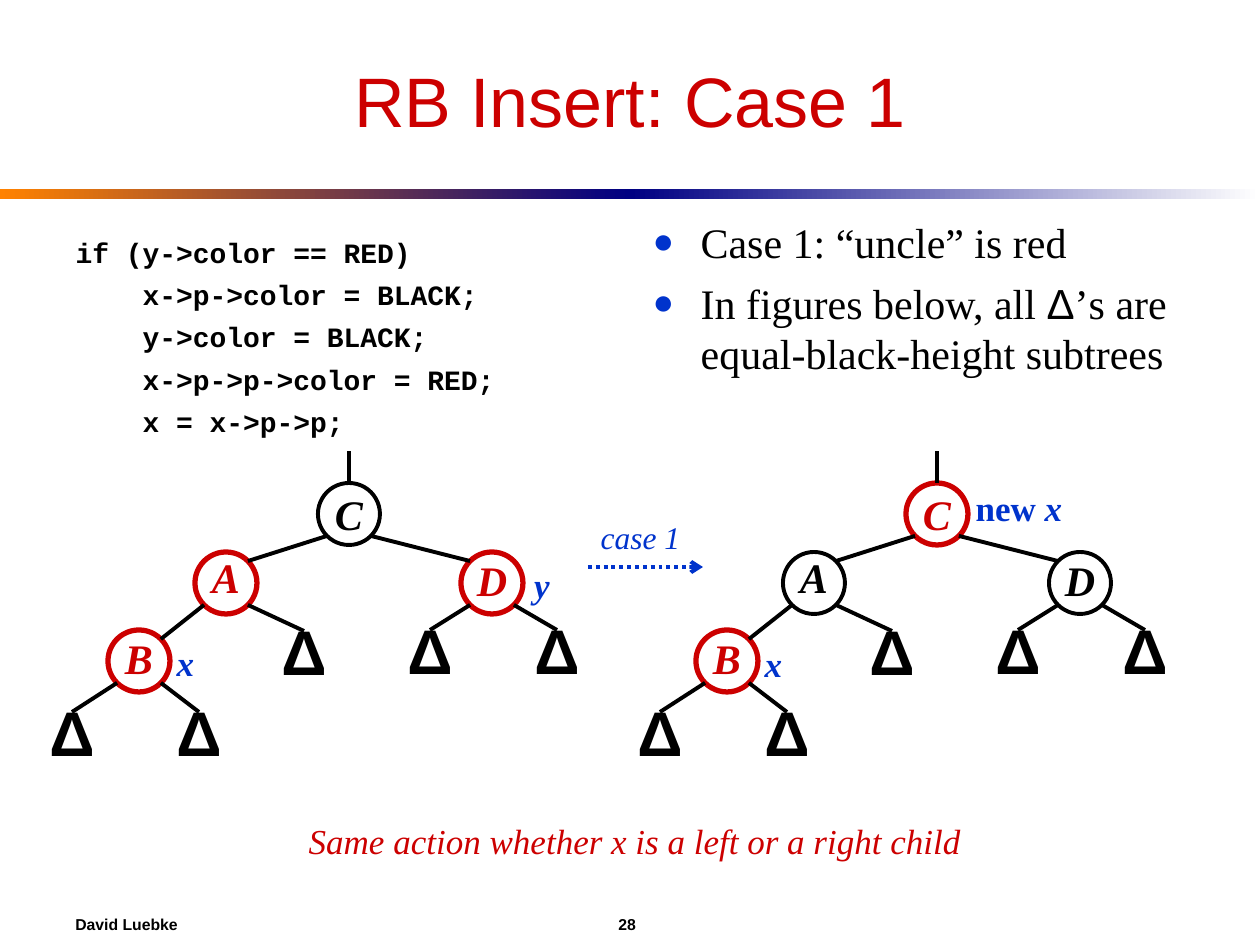
from lxml import etree
from pptx import Presentation, util as u
from pptx.dml.color import RGBColor
from pptx.enum import dml, shapes, text
from pptx.oxml.ns import qn

THEME = {
    "red": "CC0000", "black": "000000", "blue": "0033CC", "white": "FFFFFF",
    "orange": "FF8200", "navy": "000082",
    "sans": "Arial", "serif": "Times New Roman", "mono": "Courier New",
    "title": 40, "leaf": 36, "bullet": 24, "node": 24, "label": 20,
    "step": 18, "code": 16, "footer": 9,
}
TITLE = "RB Insert: Case 1"
CODE = [(0, "if (y->color == RED)"), (1, "x->p->color = BLACK;"),
        (1, "y->color = BLACK;"), (1, "x->p->p->color = RED;"), (1, "x = x->p->p;")]
BULLETS = [[("Case 1: “uncle” is red", "serif")],
           [("In figures below, all ", "serif"), ("Δ", "sans"),
            ("’s are equal-black-height subtrees", "serif")]]
NODES = {"C": (318, 483, 1.0), "A": (195, 552, 0.7),
         "D": (461, 552, 0.9), "B": (108, 630, 0.9)}
BRANCHES = [("C", "A", -1), ("C", "D", 1), ("A", "B", -1)]
LEAVES = [("B", -1, 41, 712), ("B", 1, 168, 712), ("A", 1, 273, 631),
          ("D", -1, 399, 630), ("D", 1, 526, 630)]
TREES = [
    {"left": 0, "red": "ADB",
     "labels": [([("x", True)], (164, 635, 43, 55)), ([("y", True)], (522, 557, 40, 55))]},
    {"left": 588, "red": "CB",
     "labels": [([("x", True)], (164, 636, 43, 55)),
                ([("new", False), (" x", True)], (375, 480, 112, 55))]},
]
BARS = [(0, "orange", "navy"), (630, "navy", "white")]
STEP = ("case 1", (588, 512, 105, 50))
REMARK = ("Same action whether x is a left or a right child", (296, 813, 678, 55))
FOOTER = ("David Luebke\t28", (63, 903, 1134, 42), 543)
DIAMETER, STEM = 62, 32


def px(n):
    return round(n * 914400 / 126)


def rgb(color):
    return RGBColor.from_string(THEME[color])


def apply(target, **values):
    for key, value in values.items():
        setattr(target, key, value)


def place(shape, box):
    apply(shape, **dict(zip(("left", "top", "width", "height"), map(px, box))))


def write(paragraph, words, size, face="serif", color="black", **style):
    run = paragraph.add_run()
    run.text = words
    apply(run.font, size=u.Pt(THEME[size]), name=THEME[face], **style)
    run.font.color.rgb = rgb(color)


def frame(shape, wrap=False, anchor=text.MSO_ANCHOR.MIDDLE):
    apply(shape.text_frame, word_wrap=wrap, vertical_anchor=anchor,
          auto_size=text.MSO_AUTO_SIZE.NONE)
    return shape.text_frame


def label(slide, runs, box, size="label", color="blue", bold=True, align="CENTER"):
    paragraph = frame(slide.shapes.add_textbox(*map(px, box))).paragraphs[0]
    paragraph.alignment = getattr(text.PP_ALIGN, align)
    for words, italic in runs:
        write(paragraph, words, size, color=color, bold=bold, italic=italic)


def line(slide, start, end, color="black"):
    link = slide.shapes.add_connector(
        shapes.MSO_CONNECTOR.STRAIGHT, *map(px, (*start, *end)))
    link.line.width = u.Pt(2.25)
    link.line.color.rgb = rgb(color)
    etree.SubElement(link._element.spPr, qn("a:effectLst"))
    return link


def circle(slide, left, top, words, spacing, color="black", leaf=False):
    disc = slide.shapes.add_shape(
        shapes.MSO_SHAPE.OVAL, *map(px, (left, top, DIAMETER, DIAMETER)))
    disc.shadow.inherit = False
    if leaf:
        disc.fill.background()
        disc.line.fill.background()
    else:
        disc.fill.solid()
        disc.fill.fore_color.rgb = rgb("white")
        disc.line.color.rgb = rgb(color)
        disc.line.width = u.Pt(3 if color == "red" else 2.25)
    paragraph = frame(disc).paragraphs[0]
    apply(paragraph, alignment=text.PP_ALIGN.CENTER, line_spacing=spacing)
    write(paragraph, words, "leaf" if leaf else "node", "sans" if leaf else "serif",
          color, bold=True, italic=not leaf)
    return disc


def rim(left, name, side, down):
    x, y, _ = NODES[name]
    radius = DIAMETER / 2
    reach = radius * 0.5 ** 0.5
    return left + x + radius + side * reach, y + radius + down * reach


def draw_tree(slide, tree):
    left = tree["left"]
    discs = {name: circle(slide, left + x, y, name, spacing,
                          "red" if name in tree["red"] else "black")
             for name, (x, y, spacing) in NODES.items()}
    for parent, child, side in BRANCHES:
        line(slide, rim(left, parent, side, 1), rim(left, child, -side, -1))
    for parent, side, x, y in LEAVES:
        leaf = circle(slide, left + x, y, "Δ", 0.6, leaf=True)
        line(slide, rim(left, parent, side, 1),
             (left + x + DIAMETER / 2, y)).end_connect(leaf, 0)
    x, y, _ = NODES["C"]
    center = left + x + DIAMETER / 2
    line(slide, (center, y), (center, y - STEM)).begin_connect(discs["C"], 0)
    for runs, (x, y, width, height) in tree["labels"]:
        label(slide, runs, (left + x, y, width, height))


def draw_bars(slide):
    for left, *colors in BARS:
        bar = slide.shapes.add_shape(
            shapes.MSO_SHAPE.RECTANGLE, *map(px, (left, 189, 630, 10)))
        bar.shadow.inherit = False
        bar.line.fill.background()
        bar.fill.gradient()
        bar.fill.gradient_angle = 0
        for stop, color, position in zip(bar.fill.gradient_stops, colors, (0, 1)):
            stop.position = position
            stop.color.rgb = rgb(color)


def fill_list(body, box, items, before):
    place(body, box)
    body_frame = frame(body, True, text.MSO_ANCHOR.TOP)
    for number, (indent, hanging, runs) in enumerate(items):
        paragraph = body_frame.add_paragraph() if number else body_frame.paragraphs[0]
        apply(paragraph, space_before=u.Pt(before), alignment=text.PP_ALIGN.LEFT)
        props = paragraph._p.get_or_add_pPr()
        props.set("marL", str(px(indent)))
        props.set("indent", str(-px(hanging)))
        if hanging:
            tint = etree.SubElement(props, qn("a:buClr"))
            etree.SubElement(tint, qn("a:srgbClr"), val=THEME["blue"])
            etree.SubElement(props, qn("a:buSzPct"), val="85000")
            etree.SubElement(props, qn("a:buChar"), char="●")
        else:
            etree.SubElement(props, qn("a:buNone"))
        for words, size, face, bold in runs:
            write(paragraph, words, size, face, bold=bold)


def main():
    deck = Presentation()
    apply(deck, slide_width=px(1260), slide_height=px(945))
    slide = deck.slides.add_slide(deck.slide_layouts[3])
    title, code, bullets = slide.placeholders
    draw_bars(slide)

    place(title, (63, 32, 1134, 136))
    heading = frame(title, True).paragraphs[0]
    heading.alignment = text.PP_ALIGN.CENTER
    write(heading, TITLE, "title", "sans", "red")
    fill_list(code, (63, 229, 557, 231),
              [(67 * level, 0, [(words, "code", "mono", True)]) for level, words in CODE], 5)
    fill_list(bullets, (640, 210, 557, 242),
              [(48, 48, [(words, "bullet", face, False) for words, face in runs])
               for runs in BULLETS], 6)

    for tree in TREES:
        draw_tree(slide, tree)
    arrow = line(slide, (588, 567), (703, 567), "blue")
    arrow.line.dash_style = dml.MSO_LINE.ROUND_DOT
    etree.SubElement(arrow.line._get_or_add_ln(), qn("a:tailEnd"), type="arrow")
    for (words, box), size, color in ((STEP, "step", "blue"), (REMARK, "label", "red")):
        label(slide, [(words, True)], box, size, color, bold=False)

    words, box, stop = FOOTER
    footer = frame(slide.shapes.add_textbox(*map(px, box)), True).paragraphs[0]
    write(footer, words, "footer", "sans", bold=True)
    tabs = etree.SubElement(footer._p.get_or_add_pPr(), qn("a:tabLst"))
    etree.SubElement(tabs, qn("a:tab"), pos=str(px(stop)), algn="l")
    deck.save("out.pptx")


if __name__ == "__main__":
    main()
